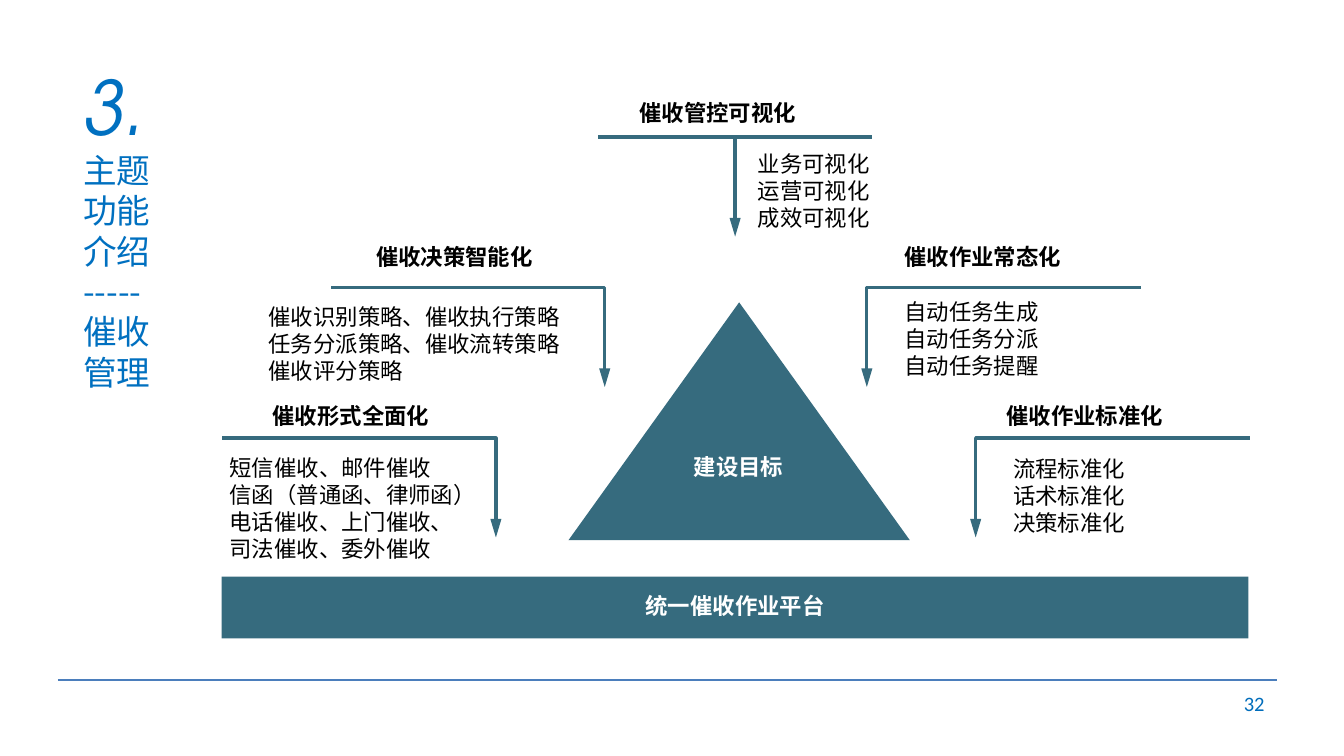
from copy import deepcopy

from lxml import etree
from pptx import Presentation
from pptx.dml.color import RGBColor
from pptx.enum.shapes import MSO_CONNECTOR, MSO_SHAPE
from pptx.enum.text import MSO_ANCHOR, MSO_AUTO_SIZE, PP_ALIGN
from pptx.oxml.ns import qn
from pptx.util import Inches, Pt

LEFT, CENTER, RIGHT = PP_ALIGN.LEFT, PP_ALIGN.CENTER, PP_ALIGN.RIGHT
TOP, MIDDLE = MSO_ANCHOR.TOP, MSO_ANCHOR.MIDDLE
STRAIGHT = MSO_CONNECTOR.STRAIGHT
TRIANGLE, RECTANGLE = MSO_SHAPE.ISOSCELES_TRIANGLE, MSO_SHAPE.RECTANGLE
NO_AUTOFIT = MSO_AUTO_SIZE.NONE

TEAL = RGBColor(0x36, 0x6B, 0x7E)
TITLE_BLUE = RGBColor(0x00, 0x70, 0xC0)
NUMBER_BLUE = RGBColor(0x00, 0x6D, 0xBB)
RULE_BLUE = RGBColor(0x4B, 0x7E, 0xBC)
BLACK = RGBColor(0, 0, 0)
WHITE = RGBColor(0xFF, 0xFF, 0xFF)

CHINESE_FONT = "Noto Sans CJK SC"
NUMERAL_FONT = "TeX Gyre Adventor"
NUMBER_FONT = "Calibri"

ARM_WIDTH, ARM_HEIGHT = 2.04, 0.74

TITLE_LINES = ["主题", "功能", "介绍", "-----", "催收", "管理"]
HEADINGS = [
    ("催收作业常态化", 6.63, 1.76),
    ("催收管控可视化", 4.66, 0.69),
    ("催收作业标准化", 7.39, 2.94),
    ("催收决策智能化", 2.7, 1.76),
    ("催收形式全面化", 1.93, 2.94),
]
DETAILS = [
    ("业务可视化\n运营可视化\n成效可视化", (5.54, 1.07, 1.04, 0.71), False),
    ("自动任务生成\n自动任务分派\n自动任务提醒", (6.63, 2.17, 1.21, 0.71), False),
    ("流程标准化\n话术标准化\n决策标准化", (7.44, 3.34, 1.04, 0.71), False),
    ("催收识别策略、催收执行策略\n任务分派策略、催收流转策略\n催收评分策略",
     (1.9, 2.21, 2.65, 0.71), True),
    ("短信催收、邮件催收\n信函（普通函、律师函）\n电话催收、上门催收、\n司法催收、委外催收",
     (1.61, 3.33, 2.6, 0.91), True),
]
ELBOWS = [(7.26, 3.26, 1), (6.45, 2.14, 1), (3.69, 3.26, -1), (4.5, 2.14, -1)]


class SlideBuilder:
    """Draws styled elements on the current slide."""

    def __init__(self, slide):
        self.slide = slide
        self.shapes = slide.shapes

    def format_run(self, run, size, font, color, bold=False, italic=False):
        run.font.size = Pt(size)
        run.font.name = font
        run.font.bold = bold
        run.font.italic = italic
        run.font.color.rgb = color
        latin = run.font._element.find(qn("a:latin"))
        east_asian = etree.Element(qn("a:ea"), typeface=font)
        latin.addnext(east_asian)

    def add_text(self, text, box, size=12, font=CHINESE_FONT, color=BLACK, bold=False,
                 align=LEFT, anchor=TOP, wrap=True, inset=(0.1, 0.05)):
        text_box = self.shapes.add_textbox(*map(Inches, box))
        frame = text_box.text_frame
        frame.word_wrap = wrap
        frame.vertical_anchor = anchor
        frame.margin_left = frame.margin_right = Inches(inset[0])
        frame.margin_top = frame.margin_bottom = Inches(inset[1])
        frame.text = text
        for paragraph in frame.paragraphs:
            paragraph.alignment = align
            self.format_run(paragraph.runs[0], size, font, color, bold)

    def add_title(self, numeral, lines, box):
        title = self.shapes.title
        title.left, title.top, title.width, title.height = map(Inches, box)
        frame = title.text_frame
        frame.auto_size = NO_AUTOFIT
        frame.word_wrap = True
        frame.vertical_anchor = TOP
        paragraph = frame.paragraphs[0]
        paragraph.alignment = LEFT
        run = paragraph.add_run()
        run.text = numeral
        self.format_run(run, 40, NUMERAL_FONT, TITLE_BLUE, italic=True)
        for line in lines:
            paragraph.add_line_break()
            paragraph._p[-1].append(deepcopy(run.font._element))
            run = paragraph.add_run()
            run.text = line
            self.format_run(run, 18, CHINESE_FONT, TITLE_BLUE)

    def add_block(self, kind, box):
        shape = self.shapes.add_shape(kind, *map(Inches, box))
        shape.shadow.inherit = False
        shape.fill.solid()
        shape.fill.fore_color.rgb = TEAL
        shape.line.fill.background()

    def style_line(self, shape, color, width, arrow):
        shape.line.color.rgb = color
        shape.line.width = Pt(width)
        if arrow:
            etree.SubElement(shape.line._get_or_add_ln(), qn("a:headEnd"),
                             type="triangle", len="lg")

    def add_line(self, start, end, color=TEAL, width=1.75, arrow=False):
        line = self.shapes.add_connector(STRAIGHT, *map(Inches, start + end))
        self.style_line(line, color, width, arrow)
        etree.SubElement(line._element.spPr, qn("a:effectLst"))

    def add_elbow(self, corner_x, corner_y, direction):
        tip_y = Inches(corner_y + ARM_HEIGHT)
        builder = self.shapes.build_freeform(Inches(corner_x), tip_y)
        arm_end = Inches(corner_x + direction * ARM_WIDTH)
        builder.add_line_segments(
            [(Inches(corner_x), Inches(corner_y)), (arm_end, Inches(corner_y))], close=False)
        elbow = builder.convert_to_shape()
        elbow.shadow.inherit = False
        elbow.fill.background()
        self.style_line(elbow, TEAL, 1.75, arrow=True)


def main():
    presentation = Presentation()
    presentation.slide_width = Inches(10)
    presentation.slide_height = presentation.slide_width * 9 // 16
    slide = presentation.slides.add_slide(presentation.slide_layouts[5])
    builder = SlideBuilder(slide)

    builder.add_line((0.43, 5.06), (9.5, 5.06), color=RULE_BLUE, width=0.75)
    builder.add_title("3.", TITLE_LINES, (0.52, 0.4, 0.99, 2.2))
    builder.add_text("32", (7.17, 5.08, 2.33, 0.3), size=11, font=NUMBER_FONT,
                     color=NUMBER_BLUE, align=RIGHT, anchor=MIDDLE, inset=(0.09, 0.04))

    caption = dict(color=WHITE, bold=True, align=CENTER, anchor=MIDDLE, inset=(0, 0))
    builder.add_block(TRIANGLE, (4.23, 2.25, 2.54, 1.77))
    builder.add_text("建设目标", (4.65, 3.37, 1.69, 0.2), **caption)
    builder.add_block(RECTANGLE, (1.65, 4.29, 7.64, 0.46))
    builder.add_text("统一催收作业平台", (1.61, 4.41, 7.72, 0.2), **caption)

    for elbow in ELBOWS:
        builder.add_elbow(*elbow)
    builder.add_line((5.47, 1.02 + ARM_HEIGHT), (5.47, 1.02), arrow=True)
    builder.add_line((4.45, 1.02), (4.45 + ARM_WIDTH, 1.02))

    for text, left, top in HEADINGS:
        builder.add_text(text, (left, top, 1.38, 0.3), bold=True, wrap=False)
    for text, box, wrap in DETAILS:
        builder.add_text(text, box, wrap=wrap)

    presentation.save("out.pptx")


if __name__ == "__main__":
    main()
